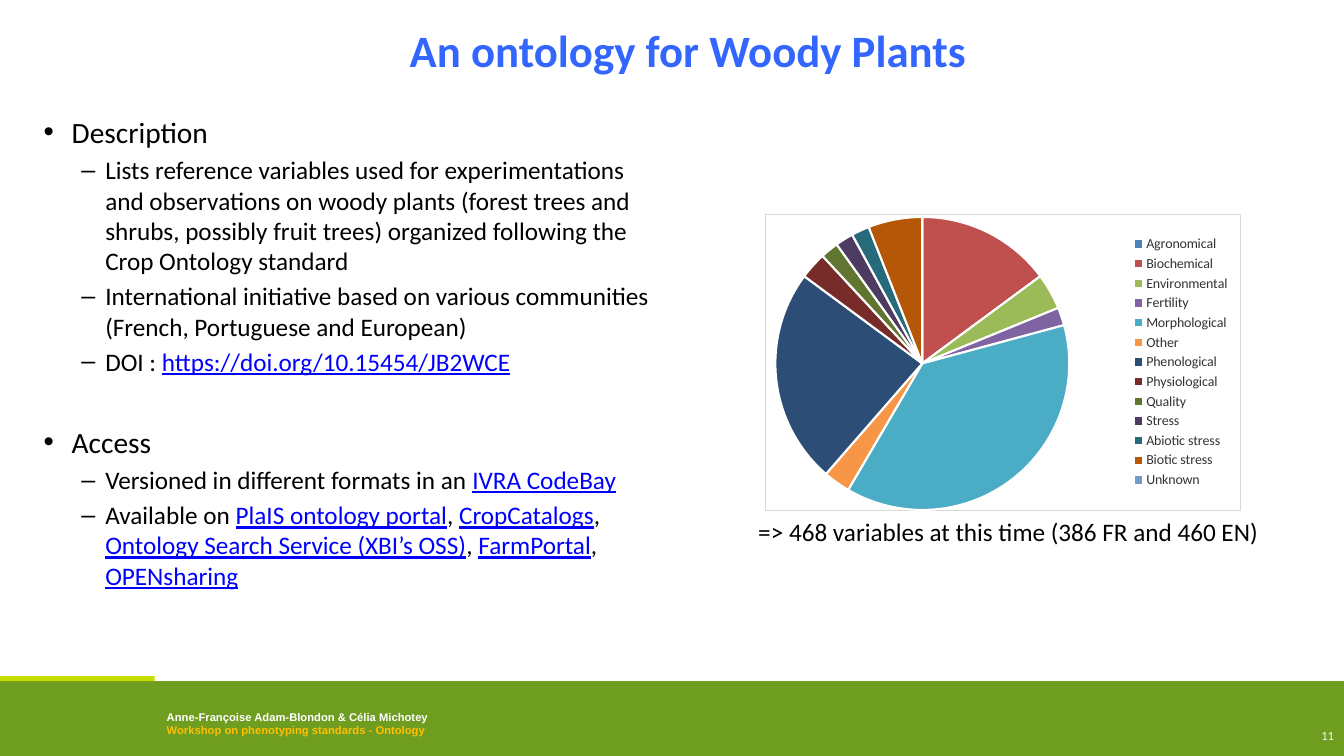
"""Build the Woody Plants ontology slide: bullets, trait pie chart and footer band."""
from lxml.etree import SubElement
from pptx import Presentation
from pptx.chart.data import CategoryChartData
from pptx.dml.color import RGBColor
from pptx.enum.chart import XL_CHART_TYPE as ChartType, XL_LEGEND_POSITION as LegendPosition
from pptx.enum.shapes import MSO_SHAPE as Preset
from pptx.enum.text import MSO_ANCHOR as Anchor, MSO_AUTO_SIZE as AutoSize, PP_ALIGN as Align
from pptx.oxml import parse_xml
from pptx.oxml.ns import nsdecls, qn
from pptx.util import Pt

COLORS = {
    "title": "3366FF", "text": "000000", "link": "0000FF", "band": "6F9D20",
    "accent": "C5DD01", "white": "FFFFFF", "event": "FFC000", "number": "F2F2F2",
    "legend": "333333", "border": "D9D9D9",
}

TRAITS = [
    ("Agronomical", 0, "4F81BD"), ("Biochemical", 15, "C0504D"),
    ("Environmental", 4, "9BBB59"), ("Fertility", 2, "8064A2"),
    ("Morphological", 38, "4BACC6"), ("Other", 3, "F79646"),
    ("Phenological", 24, "2C4D75"), ("Physiological", 3, "772C2A"),
    ("Quality", 2, "5F7530"), ("Stress", 2, "4D3B62"),
    ("Abiotic stress", 2, "276A7C"), ("Biotic stress", 6, "B65708"),
    ("Unknown", 0, "729ACA"),
]

SECTIONS = [
    ("Description", [
        ["Lists reference variables used for experimentations and observations on woody "
         "plants (forest trees and shrubs, possibly fruit trees) organized following the "
         "Crop Ontology standard"],
        ["International initiative based on various communities "
         "(French, Portuguese and European)"],
        ["DOI : ", "https://doi.org/10.15454/JB2WCE"],
    ]),
    ("Access", [
        ["Versioned in different formats in an ", "IVRA CodeBay"],
        ["Available on ", "PlaIS ontology portal", ", ", "CropCatalogs", ", ",
         "Ontology Search Service (XBI’s OSS)", ", ", "FarmPortal", ", ", "OPENsharing"],
    ]),
]


def rgb(name):
    return RGBColor.from_string(COLORS[name])


def style(font, size, color, bold=False, name="Calibri"):
    font.name, font.size, font.bold = name, Pt(size), bold
    font.color.rgb = rgb(color)


def place(shape, left, top, width, height):
    shape.left, shape.top = Pt(left), Pt(top)
    shape.width, shape.height = Pt(width), Pt(height)


def indent(paragraph, margin, hanging=0):
    properties = paragraph._p.get_or_add_pPr()
    properties.set("marL", str(Pt(margin)))
    properties.set("indent", str(Pt(-hanging)))


def add_bar(slide, left, top, width, height, color):
    bar = slide.shapes.add_shape(Preset.RECTANGLE, Pt(left), Pt(top), Pt(width), Pt(height))
    bar.shadow.inherit = False
    bar.fill.solid()
    bar.fill.fore_color.rgb = rgb(color)
    bar.line.fill.background()


def add_label(slide, left, top, width, height, text, size, colors, wrap=True,
              bold=False, name="Calibri"):
    label = slide.shapes.add_textbox(Pt(left), Pt(top), Pt(width), Pt(height))
    frame = label.text_frame
    frame.word_wrap = wrap
    frame.text = text
    for paragraph, color in zip(frame.paragraphs, colors):
        style(paragraph.runs[0].font, size, color, bold, name)
    return frame


def set_title(slide, text):
    title = slide.shapes.title
    place(title, 178, 0, 627, 71)
    title.text_frame.text = text
    title.text_frame.vertical_anchor = Anchor.MIDDLE
    paragraph = title.text_frame.paragraphs[0]
    paragraph.alignment = Align.CENTER
    style(paragraph.runs[0].font, 32, "title", bold=True)


def add_item(paragraph, parts):
    paragraph.level = 1
    paragraph.space_before = Pt(3.6)
    indent(paragraph, 44, 17)
    for position, part in enumerate(parts):
        run = paragraph.add_run()
        run.text = part
        linked = position % 2 == 1
        style(run.font, 18, "link" if linked else "text")
        run.font.underline = linked


def fill_body(slide, sections):
    body = slide.placeholders[1]
    place(body, 24, 78, 448, 405)
    frame = body.text_frame
    frame.auto_size = AutoSize.NONE
    for position, (heading, items) in enumerate(sections):
        paragraph = frame.add_paragraph() if position else frame.paragraphs[0]
        paragraph.text = heading
        paragraph.space_before = Pt(34 if position else 4.2)
        indent(paragraph, 20, 20)
        style(paragraph.runs[0].font, 21, "text")
        for parts in items:
            add_item(frame.add_paragraph(), parts)


def set_plot_area(chart, x, y, w, h):
    plot_area = chart._chartSpace.chart.plotArea
    for old in plot_area.findall(qn("c:layout")):
        plot_area.remove(old)
    layout = parse_xml(f"<c:layout {nsdecls('c')}/>")
    plot_area.insert(0, layout)
    manual = SubElement(layout, qn("c:manualLayout"))
    settings = {"layoutTarget": "inner", "xMode": "edge", "yMode": "edge",
                "x": x, "y": y, "w": w, "h": h}
    for tag, value in settings.items():
        SubElement(manual, qn(f"c:{tag}")).set("val", str(value))


def frame_chart(chart):
    border = parse_xml(
        f'<c:spPr {nsdecls("c", "a")}>'
        f'<a:solidFill><a:srgbClr val="{COLORS["white"]}"/></a:solidFill>'
        f'<a:ln w="{Pt(0.75)}"><a:solidFill><a:srgbClr val="{COLORS["border"]}"/>'
        '</a:solidFill></a:ln></c:spPr>')
    chart._chartSpace.chart.addnext(border)


def add_trait_pie(slide, left, top, width, height):
    data = CategoryChartData()
    data.categories = [trait for trait, _, _ in TRAITS]
    data.add_series("Series 1", [share for _, share, _ in TRAITS])
    chart = slide.shapes.add_chart(
        ChartType.PIE, Pt(left), Pt(top), Pt(width), Pt(height), data).chart
    style(chart.font, 10, "text")
    chart.has_title = False
    chart.has_legend = True
    chart.legend.position = LegendPosition.RIGHT
    chart.legend.include_in_layout = False
    style(chart.legend.font, 10, "legend")
    pie = chart.plots[0]
    pie.vary_by_categories = True
    for position, (_, _, color) in enumerate(TRAITS):
        wedge = pie.series[0].points[position].format
        wedge.fill.solid()
        wedge.fill.fore_color.rgb = RGBColor.from_string(color)
        wedge.line.color.rgb = rgb("white")
        wedge.line.width = Pt(1.5)
    set_plot_area(chart, 0.02, 0.01, 0.62, 0.99)
    frame_chart(chart)


def main():
    deck = Presentation()
    deck.slide_width, deck.slide_height = Pt(960), Pt(540)
    slide = deck.slides.add_slide(deck.slide_layouts[1])
    add_bar(slide, 0, 486.5, 960, 53.5, "band")
    add_bar(slide, 0, 483, 110.5, 3.5, "accent")
    add_label(slide, 112, 503.5, 325, 26.5,
              "Anne-Françoise Adam-Blondon & Célia Michotey\n"
              "Workshop on phenotyping standards - Ontology",
              8, ["white", "event"], bold=True, name="Arial")
    set_title(slide, "An ontology for Woody Plants")
    fill_body(slide, SECTIONS)
    number = add_label(slide, 736, 511, 224, 29, "11", 9, ["number"])
    number.vertical_anchor = Anchor.MIDDLE
    number.paragraphs[0].alignment = Align.RIGHT
    add_trait_pie(slide, 546.5, 152.5, 340, 212.5)
    caption = add_label(slide, 507.5, 365, 403, 29,
                        "=> 468 variables at this time (386 FR and 460 EN)",
                        18, ["text"], wrap=False)
    indent(caption.paragraphs[0], 27)
    deck.save("out.pptx")


if __name__ == "__main__":
    main()
